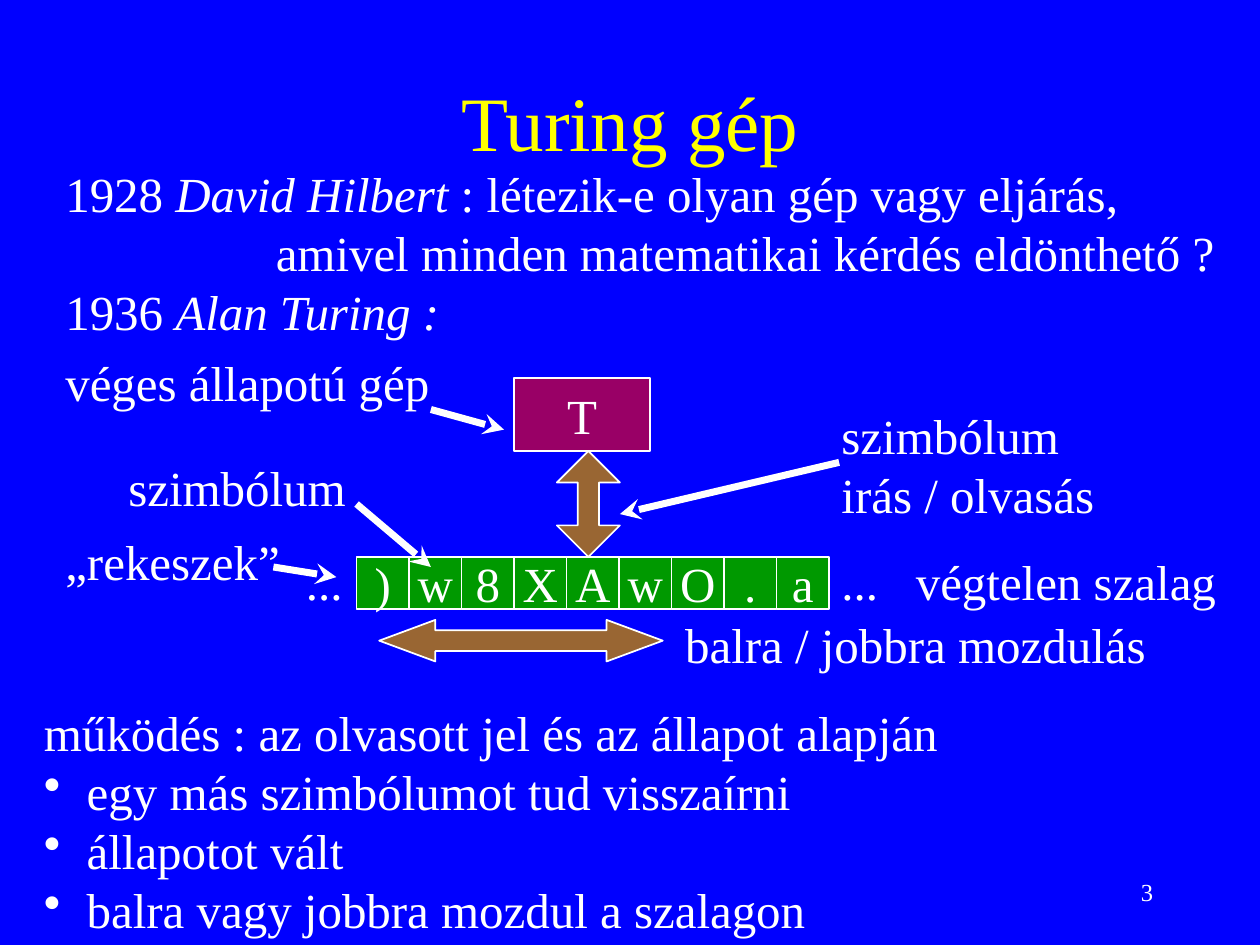
from dataclasses import dataclass

import lxml.etree
import pptx
import pptx.dml.color
import pptx.enum.shapes
import pptx.enum.text
import pptx.oxml.ns
import pptx.util

Inches = pptx.util.Inches
Pt = pptx.util.Pt
Shape = pptx.enum.shapes.MSO_SHAPE
Align = pptx.enum.text.PP_ALIGN
Anchor = pptx.enum.text.MSO_ANCHOR
AutoSize = pptx.enum.text.MSO_AUTO_SIZE
qn = pptx.oxml.ns.qn

FONT = "Times New Roman"
COLORS = {
    "background": "0000FF",
    "title": "FFFF00",
    "text": "FFFFFF",
    "cell": "009900",
    "machine": "990066",
    "arrow": "996633",
}
CELL = 5 / 12
TAPE_LEFT = 2.83
TAPE_TOP = 4.42
TAPE = ")w8XAwO.a"


@dataclass
class Line:
    text: str
    italic: str = ""
    tail: str = ""
    left: float = 0
    bullet: bool = False


@dataclass
class Label:
    left: float
    top: float
    width: float
    height: float
    lines: list[Line]
    wrap: bool = False
    size: float = 28
    color: str = "text"
    align: Align = Align.LEFT
    anchor: Anchor = Anchor.TOP
    grow: bool = True


@dataclass
class Block:
    kind: Shape
    left: float
    top: float
    width: float
    height: float
    color: str
    text: str = ""
    adjustments: tuple[float, ...] = ()


@dataclass
class Pointer:
    tip: tuple[float, float]
    start: tuple[float, float]


LABELS = [
    Label(0.75, 0.33, 8.5, 1.25, [Line("Turing gép")], True, 44, "title",
          Align.CENTER, Anchor.MIDDLE, False),
    Label(2.33, 4.33, 0.49, 0.57, [Line("...")]),
    Label(6.58, 4.33, 0.49, 0.57, [Line("...")]),
    Label(7.17, 4.33, 2.59, 0.57, [Line("végtelen szalag")]),
    Label(0.42, 4.17, 1.91, 0.57, [Line("„rekeszek”")]),
    Label(6.58, 3.17, 2.21, 1.04, [Line("szimbólum"), Line("irás / olvasás")]),
    Label(0.42, 2.75, 3.09, 0.57, [Line("véges állapotú gép")]),
    Label(0.92, 3.58, 1.93, 0.57, [Line("szimbólum")]),
    Label(0.25, 5.53, 7.3, 1.97, [
        Line("működés : az olvasott jel és az állapot alapján"),
        Line("egy más szimbólumot tud visszaírni", left=0.34, bullet=True),
        Line("állapotot vált", left=0.34, bullet=True),
        Line("balra vagy jobbra mozdul a szalagon", left=0.34, bullet=True),
    ]),
    Label(0.42, 1.25, 9.42, 1.5, [
        Line("1928 ", "David Hilbert", " : létezik-e olyan gép vagy eljárás,"),
        Line("amivel minden matematikai kérdés eldönthető ?", left=1.67),
        Line("1936 ", "Alan Turing :"),
    ], True),
    Label(5.34, 4.83, 3.86, 0.57, [Line("balra / jobbra mozdulás")]),
    Label(7.17, 6.83, 2.08, 0.5, [Line("3")], True, 14, "text",
          Align.RIGHT, Anchor.MIDDLE, False),
]
BLOCKS = [
    *(Block(Shape.RECTANGLE, TAPE_LEFT + i * CELL, TAPE_TOP, CELL, CELL, "cell", symbol)
      for i, symbol in enumerate(TAPE)),
    Block(Shape.UP_DOWN_ARROW, 4.42, 3.58, 0.5, 0.84, "arrow", "", (0.5, 0.34)),
    Block(Shape.RECTANGLE, 4.08, 3, 1.08, 0.58, "machine", "T"),
    Block(Shape.LEFT_RIGHT_ARROW, 3.01, 4.92, 2.25, 0.33, "arrow", "", (0.5, 1.35)),
]
POINTERS = [
    Pointer((2.67, 4.58), (2.17, 4.5)),
    Pointer((4.92, 4.08), (6.66, 3.67)),
    Pointer((3.42, 4.5), (2.83, 4)),
    Pointer((4, 3.41), (3.42, 3.25)),
]


def rgb(name: str) -> pptx.dml.color.RGBColor:
    return pptx.dml.color.RGBColor.from_string(COLORS[name])


def format_runs(p, size: float, color: str) -> None:
    for r in p.runs:
        r.font.name = FONT
        r.font.size = Pt(size)
        r.font.color.rgb = rgb(color)


def indent(p, line: Line) -> None:
    props = p._p.get_or_add_pPr()
    props.set("marL", str(Inches(line.left)))
    props.set("indent", str(-Inches(line.left) if line.bullet else 0))
    if line.bullet:
        lxml.etree.SubElement(props, qn("a:buChar")).set("char", "•")


def draw_label(s, label: Label) -> None:
    box = s.shapes.add_textbox(Inches(label.left), Inches(label.top),
                               Inches(label.width), Inches(label.height))
    tf = box.text_frame
    tf.word_wrap = label.wrap
    tf.vertical_anchor = label.anchor
    tf.auto_size = AutoSize.SHAPE_TO_FIT_TEXT if label.grow else AutoSize.NONE
    for i, line in enumerate(label.lines):
        p = tf.add_paragraph() if i else tf.paragraphs[0]
        p.text = line.text
        p.alignment = label.align
        if line.left:
            indent(p, line)
        if line.italic:
            r = p.add_run()
            r.text = line.italic
            r.font.italic = True
        if line.tail:
            p.add_run().text = line.tail
        format_runs(p, label.size, label.color)


def draw_block(s, block: Block) -> None:
    sp = s.shapes.add_shape(block.kind, Inches(block.left), Inches(block.top),
                            Inches(block.width), Inches(block.height))
    sp.shadow.inherit = False
    for i, value in enumerate(block.adjustments):
        sp.adjustments[i] = value
    sp.fill.solid()
    sp.fill.fore_color.rgb = rgb(block.color)
    sp.line.color.rgb = rgb("text")
    sp.line.width = Pt(1)
    if block.text:
        tf = sp.text_frame
        tf.text = block.text
        tf.word_wrap = False
        tf.vertical_anchor = Anchor.MIDDLE
        p = tf.paragraphs[0]
        p.alignment = Align.CENTER
        format_runs(p, 28, "text")


def draw_pointer(s, pointer: Pointer) -> None:
    points = [Inches(v) for v in pointer.tip + pointer.start]
    line = s.shapes.add_connector(pptx.enum.shapes.MSO_CONNECTOR.STRAIGHT, *points)
    line.line.color.rgb = rgb("text")
    line.line.width = Pt(4)
    props = line._element.spPr
    lxml.etree.SubElement(props.find(qn("a:ln")), qn("a:headEnd")).set("type", "stealth")
    lxml.etree.SubElement(props, qn("a:effectLst"))


def main() -> None:
    prs = pptx.Presentation()
    prs.slide_width = Inches(10)
    prs.slide_height = Inches(7.5)
    s = prs.slides.add_slide(prs.slide_layouts[6])
    s.background.fill.solid()
    s.background.fill.fore_color.rgb = rgb("background")
    for block in BLOCKS:
        draw_block(s, block)
    for label in LABELS:
        draw_label(s, label)
    for pointer in POINTERS:
        draw_pointer(s, pointer)
    prs.save("out.pptx")


if __name__ == "__main__":
    main()
